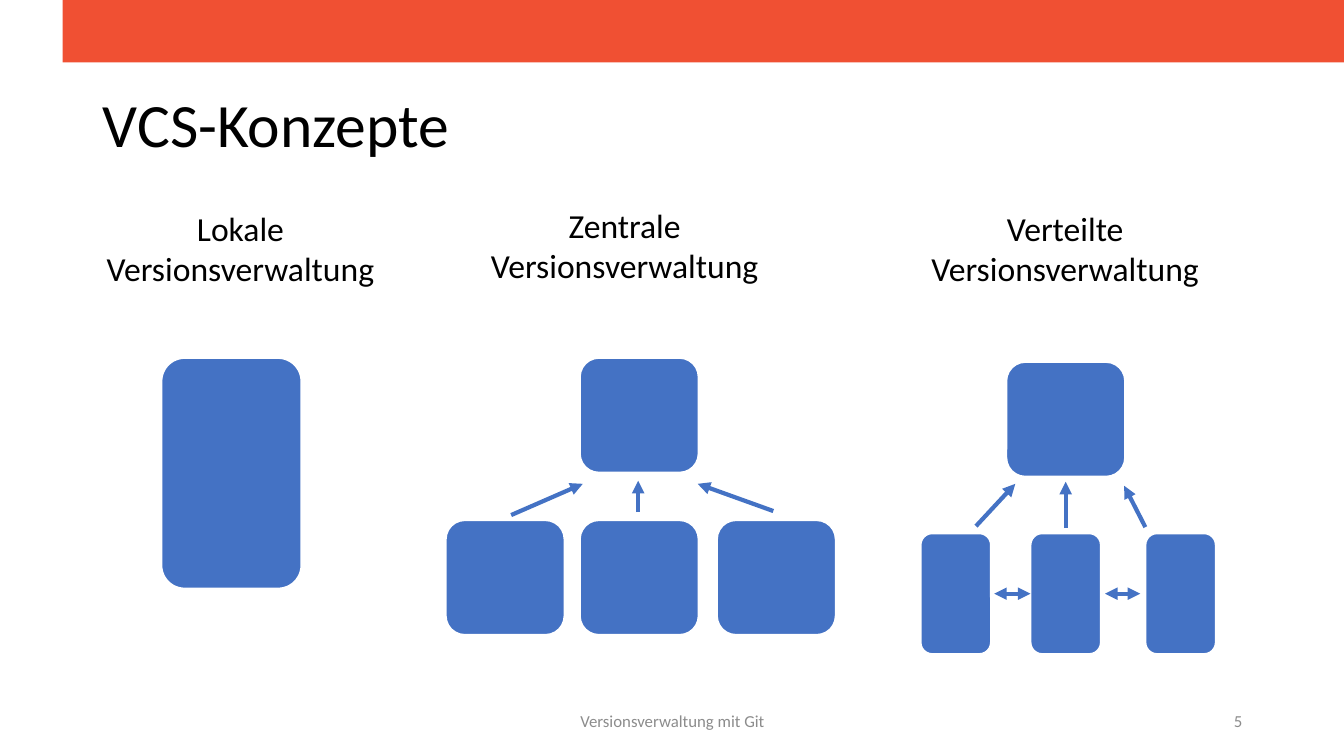
"""Build the slide on local, central and distributed version control."""
from lxml.etree import SubElement
from pptx import Presentation
from pptx.dml.color import RGBColor
from pptx.enum.shapes import MSO_CONNECTOR, MSO_SHAPE
from pptx.enum.text import MSO_ANCHOR, MSO_AUTO_SIZE, PP_ALIGN
from pptx.oxml.ns import qn
from pptx.util import Inches, Pt

COLORS = {"band": "F05033", "box": "4472C4", "edge": "FFFFFF",
          "text": "000000", "foot": "8C8C8C"}
TITLE = ("VCS-Konzepte", (0.92, 0.69, 11.5, 1.16))
HEADS = [
    ("Lokale Versionsverwaltung", (0.93, 2.01, 2.91, 0.91)),
    ("Zentrale Versionsverwaltung", (4.7, 1.98, 2.99, 0.91)),
    ("Verteilte Versionsverwaltung", (9.13, 2.01, 2.87, 0.91)),
]
FOOTS = [
    ("Versionsverwaltung mit Git", (4.42, 6.95, 4.5, 0.4), PP_ALIGN.CENTER),
    ("5", (9.42, 6.95, 3, 0.4), PP_ALIGN.RIGHT),
]
LOCAL, NODE, PEER = (1.39, 2.29), (1.18, 1.14), (0.7, 1.2)
GROUPS = [
    (LOCAL, 3.55, [1.6]),
    (NODE, 3.55, [5.75]),
    (NODE, 3.59, [9.98]),
    (NODE, 5.16, [4.42, 5.75, 7.11]),
    (PEER, 5.29, [9.13, 10.22, 11.36]),
]
UP = [
    (5.07, 5.11, 5.78, 4.8), (7.67, 5.07, 6.92, 4.8), (6.33, 5.08, 6.33, 4.77),
    (9.68, 5.22, 10.07, 4.8), (10.57, 5.24, 10.57, 4.78), (11.36, 5.23, 11.15, 4.82),
]
SYNC = [(9.86, 5.89, 10.22, 5.89), (10.96, 5.89, 11.31, 5.89)]


def color(name):
    return RGBColor.from_string(COLORS[name])


def style(target, formats):
    for key, value in formats.items():
        setattr(target, key, value)


def write(shape, text, size, ink, align, anchor, spacing=None):
    frame = shape.text_frame
    style(frame, {"word_wrap": True, "auto_size": MSO_AUTO_SIZE.NONE,
                  "vertical_anchor": anchor})
    para = frame.paragraphs[0]
    style(para, {"text": text, "alignment": align, "line_spacing": spacing})
    style(para.font, {"name": "Calibri", "size": Pt(size)})
    para.font.color.rgb = color(ink)


def label(slide, text, area, *look):
    write(slide.shapes.add_textbox(*map(Inches, area)), text, *look)


def block(slide, kind, area, fill):
    shape = slide.shapes.add_shape(kind, *map(Inches, area))
    shape.shadow.inherit = False
    shape.fill.solid()
    shape.fill.fore_color.rgb = color(fill)
    return shape


def arrow(slide, ends, tips):
    link = slide.shapes.add_connector(MSO_CONNECTOR.STRAIGHT, *map(Inches, ends))
    link.line.width = Pt(3)
    link.line.color.rgb = color("box")
    for tip in tips:
        SubElement(link.line._get_or_add_ln(), qn(f"a:{tip}"), type="triangle")
    SubElement(link._element.spPr, qn("a:effectLst"))
    return link


def main():
    deck = Presentation()
    style(deck, {"slide_width": Inches(13.33), "slide_height": Inches(7.5)})
    slide = deck.slides.add_slide(deck.slide_layouts[5])

    band = block(slide, MSO_SHAPE.RECTANGLE, (0.62, 0, 12.71, 0.62), "band")
    band.line.fill.background()

    text, area = TITLE
    title = slide.shapes.title
    style(title, dict(zip(("left", "top", "width", "height"), map(Inches, area))))
    write(title, text, 44, "text", PP_ALIGN.LEFT, MSO_ANCHOR.MIDDLE, 0.9)
    for text, area in HEADS:
        label(slide, text, area, 24, "text", PP_ALIGN.CENTER, MSO_ANCHOR.TOP)
    for text, area, align in FOOTS:
        label(slide, text, area, 12, "foot", align, MSO_ANCHOR.MIDDLE)

    for size, top, lefts in GROUPS:
        row = [block(slide, MSO_SHAPE.ROUNDED_RECTANGLE, (left, top, *size), "box")
               for left in lefts]
        for box in row:
            box.line.width = Pt(1.5)
            box.line.color.rgb = color("edge")

    for ends in UP:
        arrow(slide, ends, ["tailEnd"])
    links = [arrow(slide, ends, ["headEnd", "tailEnd"]) for ends in SYNC]
    links[0].end_connect(row[1], 1)
    deck.save("out.pptx")


if __name__ == "__main__":
    main()
